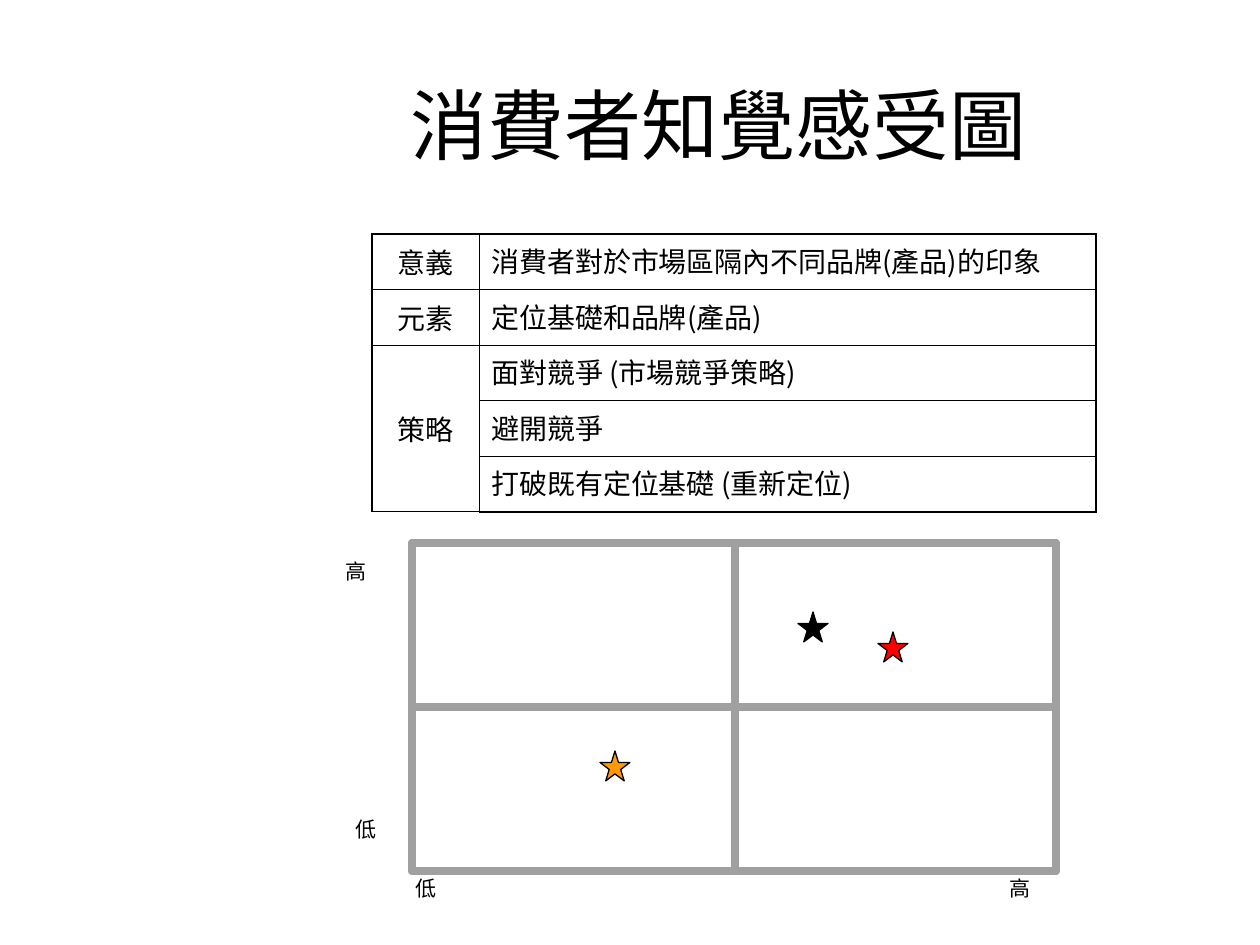
import pptx
import pptx.util
import pptx.dml.color
import pptx.enum.shapes
import pptx.enum.text
import pptx.oxml
import pptx.oxml.ns

SCALE = 914400 / 126  # EMU per px
COLORS = {
    "black": "000000",
    "white": "FFFFFF",
    "grid": "A0A0A0",
    "red": "FF0000",
    "orange": "FF9900",
}
CJK = "Noto Sans CJK TC"
TABLE_FONT = "Noto Sans CJK SC"
SERIF = "Times New Roman"
SHAPE = pptx.enum.shapes.MSO_SHAPE
ANCHOR = pptx.enum.text.MSO_ANCHOR
ALIGN = pptx.enum.text.PP_ALIGN
THIN, THICK = 0.45, 1.08


def px(n):
    return round(n * SCALE)


def color(name):
    return pptx.dml.color.RGBColor.from_string(COLORS[name])


def write(tf, text, size, font, align=ALIGN.LEFT, east_asian=CJK):
    """Put one formatted run into the first paragraph."""
    p = tf.paragraphs[0]
    p.alignment = align
    r = p.add_run()
    r.text = text
    r.font.size = pptx.util.Pt(size)
    r.font.name = font
    r.font.color.rgb = color("black")
    ea = pptx.oxml.parse_xml(
        f'<a:ea {pptx.oxml.ns.nsdecls("a")} typeface="{east_asian}"/>')
    r.font._element.find(pptx.oxml.ns.qn("a:latin")).addnext(ea)


def add_title(s, text, x, y, w, h):
    sp = s.shapes.title
    sp.left, sp.top, sp.width, sp.height = px(x), px(y), px(w), px(h)
    sp.text_frame.vertical_anchor = ANCHOR.MIDDLE
    write(sp.text_frame, text, 44, "Arial", ALIGN.CENTER)


def add_figure(shapes, kind, x, y, w, h, fill, line, weight=0.75):
    sp = shapes.add_shape(kind, px(x), px(y), px(w), px(h))
    sp.shadow.inherit = False
    if fill:
        sp.fill.solid()
        sp.fill.fore_color.rgb = color(fill)
    else:
        sp.fill.background()
    sp.line.color.rgb = color(line)
    sp.line.width = pptx.util.Pt(weight)
    return sp


def add_boxed_label(s, text, x, y, w, h):
    sp = add_figure(s.shapes, SHAPE.RECTANGLE, x, y, w, h, "white", "white")
    sp.text_frame.vertical_anchor = ANCHOR.TOP
    write(sp.text_frame, text, 12, SERIF)


def add_label(s, text, x, y, w, h, font):
    tf = s.shapes.add_textbox(px(x), px(y), px(w), px(h)).text_frame
    tf.word_wrap = True
    write(tf, text, 12, font)


def set_borders(cell, widths):
    """Draw left, right, top and bottom borders, widths in points."""
    tc_pr = cell._tc.get_or_add_tcPr()
    for i, (side, weight) in enumerate(zip("LRTB", widths)):
        tc_pr.insert(i, pptx.oxml.parse_xml(
            f'<a:ln{side} {pptx.oxml.ns.nsdecls("a")} w="{round(weight * 12700)}">'
            f'<a:solidFill><a:srgbClr val="{COLORS["black"]}"/></a:solidFill>'
            f'</a:ln{side}>'))


def add_definitions(s, rows, x, y, col_widths, row_height):
    n_rows, n_cols = len(rows), len(col_widths)
    table = s.shapes.add_table(n_rows, n_cols, px(x), px(y),
                               px(sum(col_widths)), px(row_height * n_rows)).table
    table.first_row = table.horz_banding = False
    for col, width in zip(table.columns, col_widths):
        col.width = px(width)
    for i, texts in enumerate(rows):
        table.rows[i].height = px(row_height)
        for j, text in enumerate(texts):
            cell = table.cell(i, j)
            cell.fill.background()
            edges = (j == 0, j == n_cols - 1, i == 0, i == n_rows - 1)
            set_borders(cell, [THICK if edge else THIN for edge in edges])
            cell.vertical_anchor = ANCHOR.TOP if j else ANCHOR.MIDDLE
            if text:
                write(cell.text_frame, text, 16, TABLE_FONT,
                      ALIGN.LEFT if j else ALIGN.CENTER, TABLE_FONT)
    # The last heading covers all the strategy rows
    table.cell(2, 0).merge(table.cell(n_rows - 1, 0))


def add_quadrants(s, x, y, widths, height):
    group = s.shapes.add_group_shape()
    for row in range(2):
        for col, width in enumerate(widths):
            add_figure(group.shapes, SHAPE.RECTANGLE, x + col * widths[0],
                       y + row * height, width, height, None, "grid", 4.5)
    add_figure(group.shapes, SHAPE.RECTANGLE, x, y, sum(widths), 2 * height,
               None, "grid", 4.5)


def main():
    prs = pptx.Presentation()
    prs.slide_width, prs.slide_height = px(1260), px(945)
    s = prs.slides.add_slide(prs.slide_layouts[5])

    add_title(s, "消費者知覺感受圖", 263, 45, 912, 158)

    # Perceptual map with its axis labels
    add_boxed_label(s, "高", 997, 869, 45, 45)
    add_boxed_label(s, "低", 343, 810, 45, 54)
    add_quadrants(s, 412, 543, (323, 321), 164)
    add_label(s, "高", 333, 552, 45, 54, SERIF)
    add_label(s, "低", 403, 869, 73, 38, CJK)

    # Definitions
    add_definitions(s, [
        ("意義", "消費者對於市場區隔內不同品牌(產品)的印象"),
        ("元素", "定位基礎和品牌(產品)"),
        ("策略", "面對競爭 (市場競爭策略)"),
        ("", "避開競爭"),
        ("", "打破既有定位基礎 (重新定位)"),
    ], 372, 234, (107, 617), 55.6)

    # Brand positions
    for x, y, fill in ((798, 612, "black"), (878, 632, "red"), (600, 751, "orange")):
        add_figure(s.shapes, SHAPE.STAR_5_POINT, x, y, 30, 30, fill, "black")

    prs.save("out.pptx")


if __name__ == "__main__":
    main()
